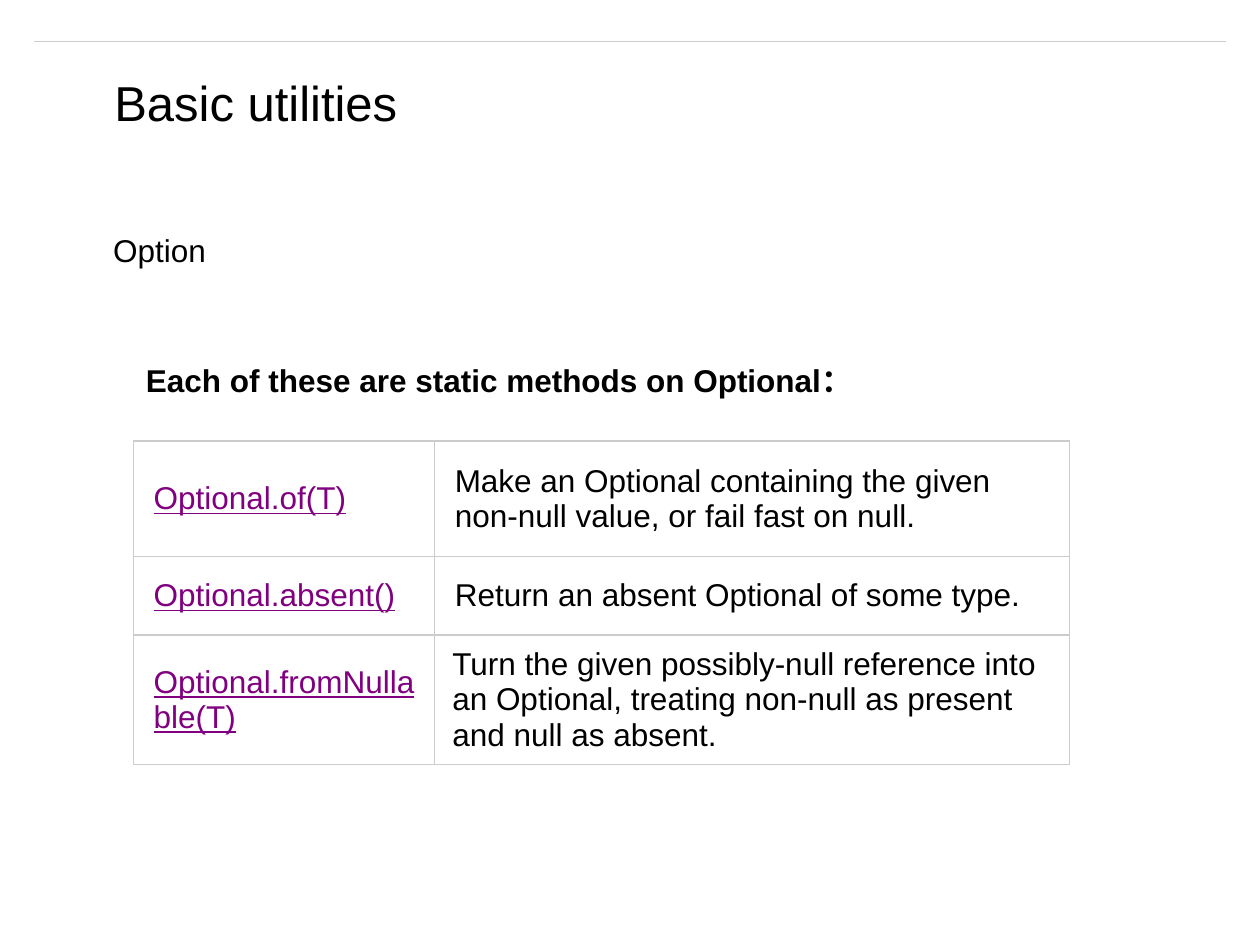
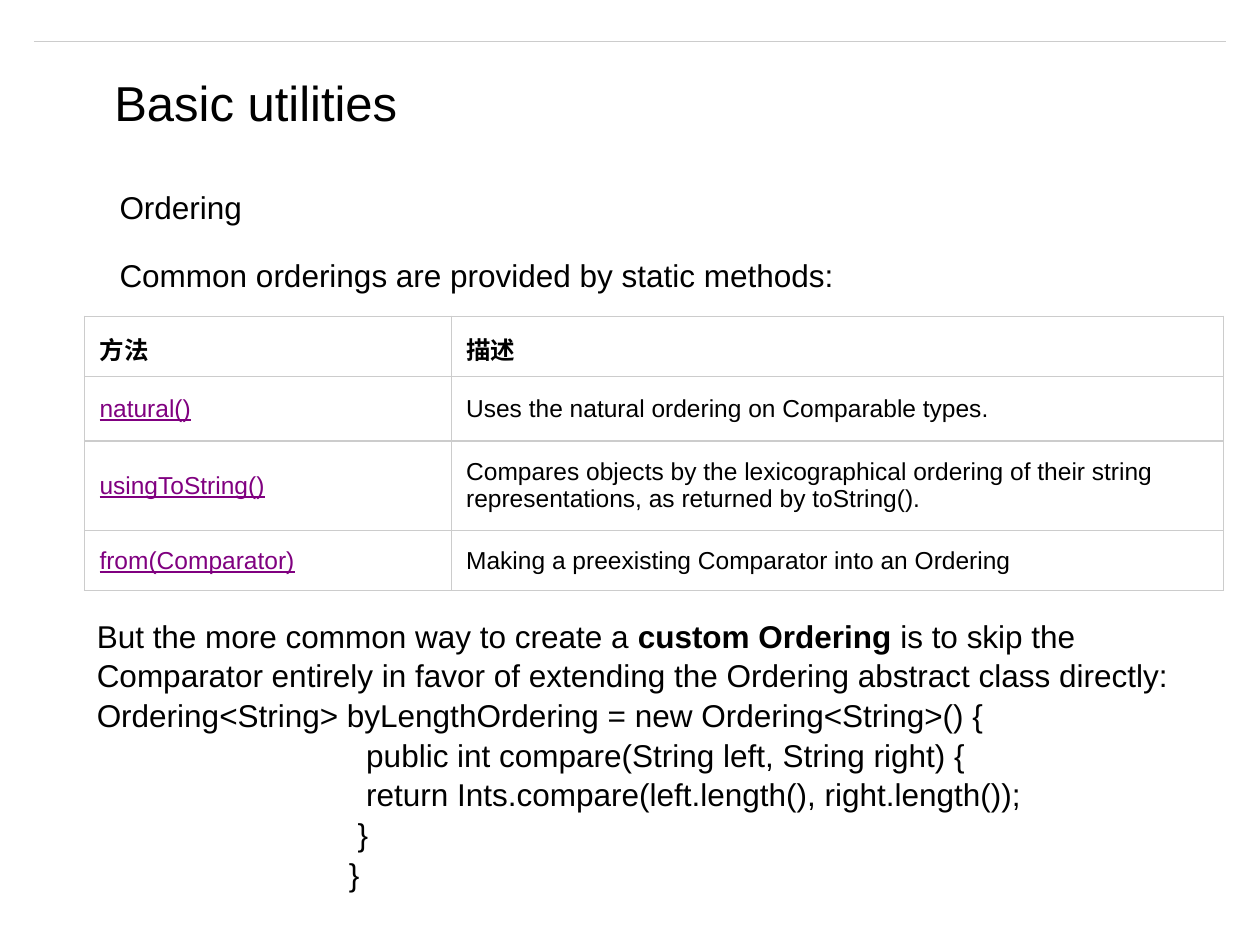
import collections

import pptx
import pptx.dml.color
import pptx.enum.text
import pptx.oxml
import pptx.oxml.ns
import pptx.util

BLACK = pptx.dml.color.RGBColor(0x00, 0x00, 0x00)
PURPLE = pptx.dml.color.RGBColor(0x80, 0x00, 0x80)
GREY = pptx.dml.color.RGBColor(0xCC, 0xCC, 0xCC)
FONT = "Arial"
BODY_SIZE = 18
TITLE_SIZE = 28
LINE_WIDTH = pptx.util.Pt(0.75)
LINE_SPACING = 1.05
CELL = pptx.util.Inches(0.1)
GRID_COLUMNS, GRID_ROWS = 100, 75

Box = collections.namedtuple("Box", "column row columns rows")

TITLE_BOX = Box(8.1, 5, 24.7, 5.7)
OPTIONAL_ROWS = [
    ("Optional.of(T)",
     "Make an Optional containing the given non-null value, or fail fast on null."),
    ("Optional.absent()", "Return an absent Optional of some type."),
    ("Optional.fromNullable(T)",
     "Turn the given possibly-null reference into an Optional, "
     "treating non-null as present and null as absent."),
]
ORDERING_ROWS = [
    ("方法", "描述"),
    ("natural()", "Uses the natural ordering on Comparable types."),
    ("usingToString()",
     "Compares objects by the lexicographical ordering of their string "
     "representations, as returned by toString()."),
    ("from(Comparator)", "Making a preexisting Comparator into an Ordering"),
]
CUSTOM_ORDERING = [
    ("But the more common way to create a ", False),
    ("custom Ordering ", True),
    ("is to skip the Comparator entirely in favor of extending the Ordering abstract "
     "class directly: Ordering<String> byLengthOrdering = new Ordering<String>() {", False),
]
CODE_LINES = [
    "  public int compare(String left, String right) {",
    "  return Ints.compare(left.length(), right.length());",
    " }",
    "}",
]


def grid(count):
    """Turn a count of grid cells into a length."""
    return int(count * CELL)


def style_run(run, size=BODY_SIZE, bold=False, color=BLACK, underline=False):
    """Format one run of text."""
    run.font.name = FONT
    run.font.size = pptx.util.Pt(size)
    run.font.bold = bold
    run.font.underline = underline
    run.font.color.rgb = color


def add_text(slide, box, text="", size=BODY_SIZE, bold=False, wrap=True):
    """Place a text box on the grid and return its text frame."""
    shape = slide.shapes.add_textbox(*map(grid, box))
    frame = shape.text_frame
    frame.word_wrap = wrap
    frame.auto_size = pptx.enum.text.MSO_AUTO_SIZE.SHAPE_TO_FIT_TEXT
    paragraph = frame.paragraphs[0]
    paragraph.text = text
    paragraph.line_spacing = LINE_SPACING
    for run in paragraph.runs:
        style_run(run, size, bold)
    return frame


def add_base_slide(presentation):
    """Add a blank slide with the top rule and the shared title."""
    slide = presentation.slides.add_slide(presentation.slide_layouts[6])
    margin, height = 2.7, grid(3.3)
    rule = slide.shapes.add_connector(
        pptx.enum.shapes.MSO_CONNECTOR.STRAIGHT,
        grid(margin), height, grid(GRID_COLUMNS - margin), height)
    rule.line.color.rgb = GREY
    rule.line.width = LINE_WIDTH
    properties = rule._element.spPr
    properties.append(pptx.oxml.parse_xml(
        f"<a:effectLst {pptx.oxml.ns.nsdecls('a')}/>"))
    add_text(slide, TITLE_BOX, "Basic utilities", TITLE_SIZE, wrap=False)
    return slide


def add_borders(cell):
    """Draw a thin grey line on each side of a cell."""
    properties = cell._tc.get_or_add_tcPr()
    for position, side in enumerate(("lnL", "lnR", "lnT", "lnB")):
        properties.insert(position, pptx.oxml.parse_xml(
            f"<a:{side} {pptx.oxml.ns.nsdecls('a')} w='{LINE_WIDTH}'>"
            f"<a:solidFill><a:srgbClr val='{GREY}'/></a:solidFill></a:{side}>"))


def set_margins(cell, horizontal, vertical):
    """Set the inner margins of a cell."""
    cell.margin_left = cell.margin_right = grid(horizontal)
    cell.margin_top = cell.margin_bottom = grid(vertical)


def add_method_table(slide, box, first_column, row_heights, rows, size, margin, header=False):
    """Fill a box with a table of methods and their descriptions."""
    table = slide.shapes.add_table(len(rows), 2, *map(grid, box)).table
    table.first_row = table.horz_banding = False
    for column, width in zip(table.columns, (first_column, box.columns - first_column)):
        column.width = grid(width)
    for row_index, (row, height) in enumerate(zip(table.rows, row_heights)):
        row.height = grid(height)
        is_header = header and row_index == 0
        for column_index, cell in enumerate(row.cells):
            is_method = column_index == 0 and not is_header
            cell.text_frame.text = rows[row_index][column_index]
            style_run(cell.text_frame.paragraphs[0].runs[0], size, is_header,
                      PURPLE if is_method else BLACK, is_method)
            cell.vertical_anchor = pptx.enum.text.MSO_ANCHOR.MIDDLE
            set_margins(cell, margin, margin)
            cell.fill.background()
            add_borders(cell)
    return table


def add_custom_ordering(slide, box):
    """Write the closing remark and the indented code below it."""
    frame = add_text(slide, box)
    for text, bold in CUSTOM_ORDERING:
        run = frame.paragraphs[0].add_run()
        run.text = text
        style_run(run, bold=bold)
    for line in CODE_LINES:
        paragraph = frame.add_paragraph()
        paragraph.text = line
        paragraph.level = 4
        paragraph.line_spacing = LINE_SPACING
        properties = paragraph._p.get_or_add_pPr()
        properties.set("marL", str(grid(20)))
        properties.set("indent", "0")
        style_run(paragraph.runs[0])


def build_optional_slide(presentation):
    """Build the slide about Optional."""
    slide = add_base_slide(presentation)
    add_text(slide, Box(8, 17.7, 76.9, 4), "Option")
    add_text(slide, Box(10.6, 28, 61.9, 4),
             "Each of these are static methods on Optional：", bold=True)
    table = add_method_table(slide, Box(10.6, 35, 74.3, 25.5), 23.9,
                             (9.1, 6.1, 10.3), OPTIONAL_ROWS, BODY_SIZE, 1.6)
    set_margins(table.cell(2, 1), 1.4, 0.6)


def build_ordering_slide(presentation):
    """Build the slide about Ordering."""
    slide = add_base_slide(presentation)
    add_text(slide, Box(8.5, 14.3, 76.9, 4), "Ordering")
    add_text(slide, Box(8.5, 19.7, 76.9, 4),
             "Common orderings are provided by static methods:")
    add_method_table(slide, Box(6.7, 25.1, 90.4, 21.9), 29.1,
                     (4.8, 5.1, 7.1, 4.8), ORDERING_ROWS, 14, 1.2, header=True)
    add_custom_ordering(slide, Box(6.7, 48.3, 90.4, 22.2))


def main():
    """Build and save the presentation."""
    presentation = pptx.Presentation()
    presentation.slide_width = grid(GRID_COLUMNS)
    presentation.slide_height = grid(GRID_ROWS)
    build_optional_slide(presentation)
    build_ordering_slide(presentation)
    presentation.save("out.pptx")


if __name__ == "__main__":
    import pptx.enum.shapes
    main()
